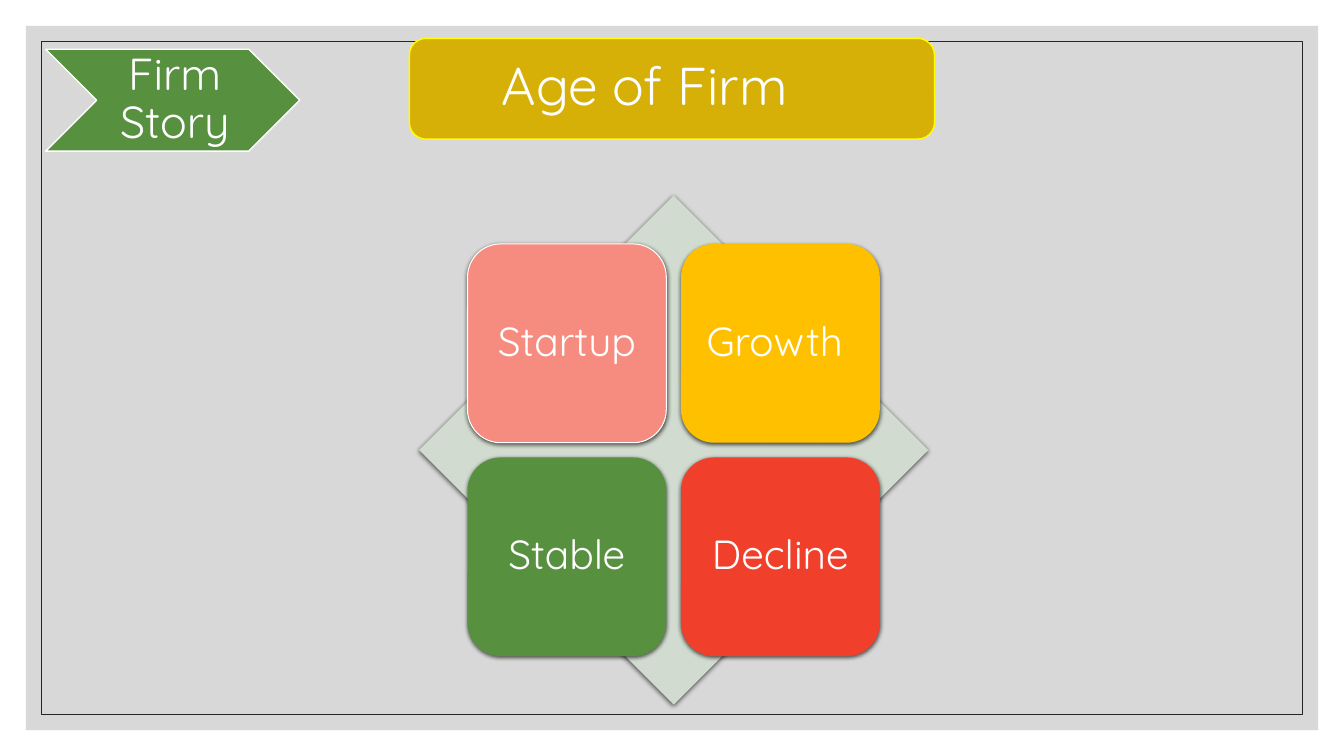
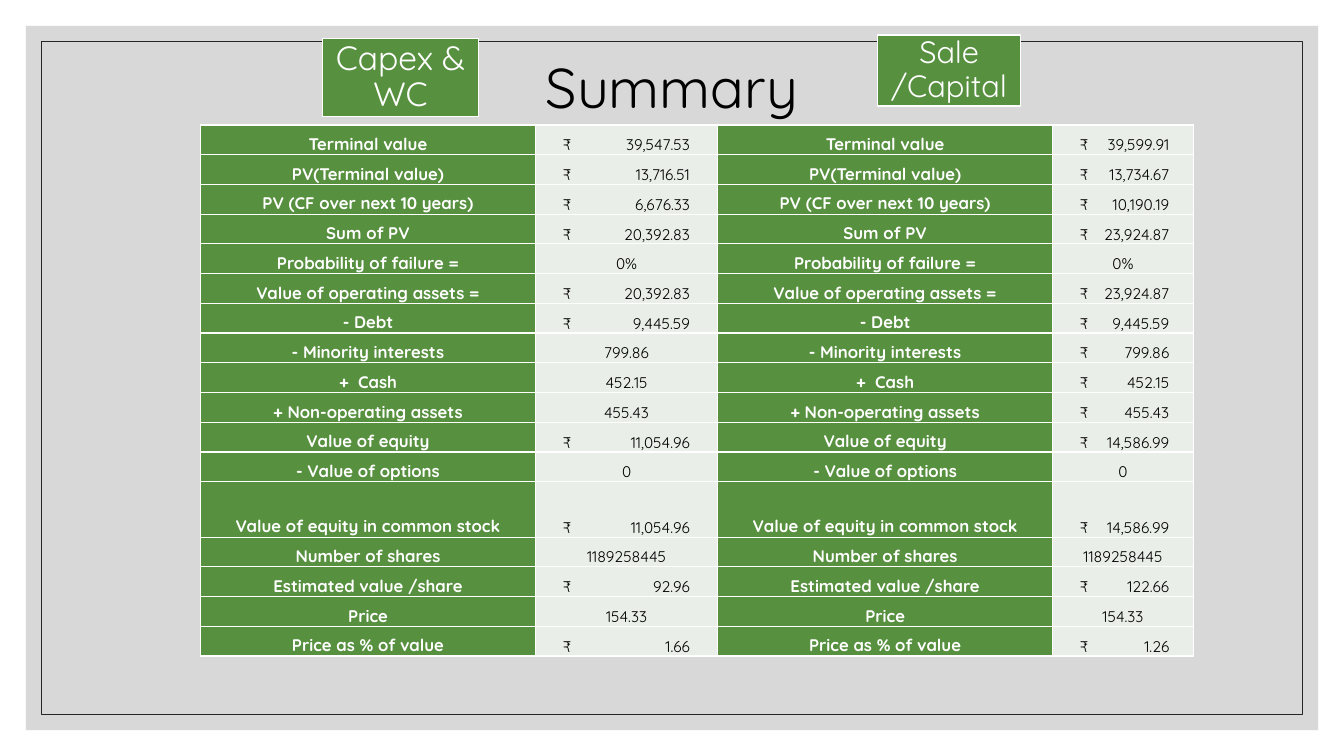
from dataclasses import dataclass

from lxml import etree
from pptx import Presentation
from pptx.dml.color import RGBColor
from pptx.enum.shapes import MSO_SHAPE
from pptx.enum.text import MSO_ANCHOR, MSO_AUTO_SIZE, PP_ALIGN
from pptx.oxml.ns import qn
from pptx.util import Pt

RECTANGLE = MSO_SHAPE.RECTANGLE
ROUNDED = MSO_SHAPE.ROUNDED_RECTANGLE
CHEVRON = MSO_SHAPE.CHEVRON
DIAMOND = MSO_SHAPE.DIAMOND
LEFT, CENTER = PP_ALIGN.LEFT, PP_ALIGN.CENTER
TOP, MIDDLE, BOTTOM = MSO_ANCHOR.TOP, MSO_ANCHOR.MIDDLE, MSO_ANCHOR.BOTTOM
TITLE_ONLY = 5


@dataclass(frozen=True)
class Theme:
    font: str = "Quicksand"
    white: str = "FFFFFF"
    black: str = "000000"
    backdrop: str = "BFBFBF"
    frame: str = "262626"
    green: str = "57903F"
    pale_green: str = "D1DBCF"
    value_fill: str = "EAEEE8"
    banner: str = "D6AF07"
    banner_edge: str = "FFFF00"
    pink: str = "F68C80"
    amber: str = "FFC000"
    red: str = "F03F2B"
    summary_size: float = 40
    banner_size: float = 38
    story_size: float = 32
    tile_size: float = 29
    capex_size: float = 24
    sale_size: float = 22
    label_size: float = 12
    value_size: float = 11


THEME = Theme()


@dataclass(frozen=True)
class Area:
    left: float
    top: float
    width: float
    height: float

    def lengths(self) -> tuple:
        return Pt(self.left), Pt(self.top), Pt(self.width), Pt(self.height)


@dataclass(frozen=True)
class Panel:
    kind: int
    area: Area
    fill: str | None = None
    line: str | None = None
    line_width: float = 1
    shadow: bool = False
    text: str = ""
    size: float = 0
    margins: tuple = (1.5, 1.5, 1.5, 1.5)


@dataclass(frozen=True)
class Valuation:
    label: str
    capex: str
    sale: str
    height: float = 21.24


PAGE_WIDTH, PAGE_HEIGHT = 960, 540
BACKDROP_INSET, FRAME_INSET = 18.5, 29.5

STORY = Panel(CHEVRON, Area(32.6, 35.2, 181.5, 72.8), THEME.green, THEME.white,
              text="Firm Story", size=THEME.story_size, margins=(3, 1.5, 0, 1.5))
BANNER = Panel(ROUNDED, Area(292.4, 27.4, 375.2, 72), THEME.banner, THEME.banner_edge)

TILE_SIZE, TILE_GAP = 142, 10.5
MATRIX = Area(299.4, 139.7, 363.6, 363.6)
TILES = (
    ("Startup", THEME.pink, THEME.white),
    ("Growth ", THEME.amber, None),
    ("Stable", THEME.green, None),
    ("Decline", THEME.red, None),
)

METHODS = (
    Panel(RECTANGLE, Area(230.4, 27.6, 111.4, 55.5), THEME.green, THEME.white,
          text="Capex & WC", size=THEME.capex_size),
    Panel(RECTANGLE, Area(627, 25, 101.8, 50.8), THEME.green, THEME.white,
          text="Sale /Capital", size=THEME.sale_size),
)

TABLE_LEFT, TABLE_TOP = 143.4, 89.3
COLUMN_WIDTHS = (239, 130.4, 239, 100.8)
CURRENCY = "₹"
CURRENCY_INDENT = 19.5
AMOUNT_TABS = {1: 91, 3: 64}  # right edge of the amounts, by column
VALUATIONS = (
    Valuation("Terminal value", "₹39,547.53", "₹39,599.91"),
    Valuation("PV(Terminal value)", "₹13,716.51", "₹13,734.67"),
    Valuation("PV (CF over next 10 years)", "₹6,676.33", "₹10,190.19"),
    Valuation("Sum of PV", "₹20,392.83", "₹23,924.87"),
    Valuation("Probability of failure =", "0%", "0%"),
    Valuation("Value of operating assets =", "₹20,392.83", "₹23,924.87"),
    Valuation("- Debt", "₹9,445.59", "₹9,445.59"),
    Valuation("- Minority interests", "799.86", "₹799.86"),
    Valuation("+  Cash", "452.15", "₹452.15"),
    Valuation("+ Non-operating assets", "455.43", "₹455.43"),
    Valuation("Value of equity", "₹11,054.96", "₹14,586.99"),
    Valuation("- Value of options", "0", "0"),
    Valuation("Value of equity in common stock", "₹11,054.96", "₹14,586.99", 39.6),
    Valuation("Number of shares", "1189258445", "1189258445"),
    Valuation("Estimated value /share", "₹92.96", "₹122.66"),
    Valuation("Price", "154.33", "154.33"),
    Valuation("Price as % of value", "₹1.66", "₹1.26"),
)


def color(code: str) -> RGBColor:
    return RGBColor.from_string(code)


def add_node(parent, tag: str, **attributes):
    return etree.SubElement(parent, qn(tag), {key: str(value) for key, value in attributes.items()})


def format_paragraph(para, size: float, code: str, align=CENTER, bold: bool = False) -> None:
    para.alignment = align
    for span in para.runs:
        span.font.name = THEME.font
        span.font.size = Pt(size)
        span.font.bold = bold
        span.font.color.rgb = color(code)


def set_margins(target, margins: tuple) -> None:
    """Set left, top, right and bottom margins of a text frame or a cell."""
    (target.margin_left, target.margin_top,
     target.margin_right, target.margin_bottom) = map(Pt, margins)


def add_soft_shadow(shape) -> None:
    effects = shape._element.spPr.find(qn("a:effectLst"))
    outer = add_node(effects, "a:outerShdw", blurRad=Pt(3), dist=Pt(1),
                     dir=5400000, algn="ctr", rotWithShape=0)
    add_node(add_node(outer, "a:srgbClr", val=THEME.black), "a:alpha", val=63000)


def draw_panel(page, panel: Panel):
    shape = page.shapes.add_shape(panel.kind, *panel.area.lengths())
    shape.shadow.inherit = False
    if panel.shadow:
        add_soft_shadow(shape)
    if panel.fill:
        shape.fill.solid()
        shape.fill.fore_color.rgb = color(panel.fill)
    else:
        shape.fill.background()
    if panel.line:
        shape.line.color.rgb = color(panel.line)
        shape.line.width = Pt(panel.line_width)
    else:
        shape.line.fill.background()
    if panel.text:
        frame = shape.text_frame
        frame.text = panel.text
        frame.word_wrap = True
        frame.vertical_anchor = MIDDLE
        set_margins(frame, panel.margins)
        para = frame.paragraphs[0]
        para.line_spacing = 0.9
        format_paragraph(para, panel.size, THEME.white)
    return shape


def place_title(page, text: str, area: Area, size: float, code: str, anchor, align,
                margins: tuple, wrap: bool = True, spacing: float = 1.0) -> None:
    """Fill the title placeholder and bring it in front of what is drawn so far."""
    title = page.shapes.title
    title.left, title.top, title.width, title.height = area.lengths()
    frame = title.text_frame
    frame.text = text
    frame.auto_size = MSO_AUTO_SIZE.NONE
    frame.word_wrap = wrap
    frame.vertical_anchor = anchor
    set_margins(frame, margins)
    frame.paragraphs[0].line_spacing = spacing
    format_paragraph(frame.paragraphs[0], size, code, align)
    page.shapes.element.append(title._element)


def inset_area(inset: float) -> Area:
    return Area(inset, inset, PAGE_WIDTH - 2 * inset, PAGE_HEIGHT - 2 * inset)


def frame_layout(layout, page) -> None:
    """Draw the backdrop and frame on a page, then hand them to its layout."""
    backdrop = draw_panel(page, Panel(RECTANGLE, inset_area(BACKDROP_INSET), THEME.backdrop))
    fill = backdrop._element.spPr.find(qn("a:solidFill"))
    add_node(fill[0], "a:alpha", val=60000)
    frame = draw_panel(page, Panel(RECTANGLE, inset_area(FRAME_INSET),
                                   line=THEME.frame, line_width=0.5))
    for position, shape in enumerate((backdrop, frame), start=2):
        layout.shapes.element.insert(position, shape._element)


def draw_matrix(page) -> None:
    draw_panel(page, Panel(DIAMOND, MATRIX, THEME.pale_green, shadow=True))
    inset = (MATRIX.width - 2 * TILE_SIZE - TILE_GAP) / 2
    pitch = TILE_SIZE + TILE_GAP
    for index, (text, fill, line) in enumerate(TILES):
        row, column = divmod(index, 2)
        area = Area(MATRIX.left + inset + column * pitch,
                    MATRIX.top + inset + row * pitch, TILE_SIZE, TILE_SIZE)
        draw_panel(page, Panel(ROUNDED, area, fill, line, 0.75, True, text,
                               THEME.tile_size, (8.6, 8.6, 8.6, 8.6)))


def draw_age_page(page) -> None:
    draw_panel(page, STORY)
    draw_panel(page, BANNER)
    place_title(page, "Age of Firm", BANNER.area, THEME.banner_size, THEME.white,
                MIDDLE, LEFT, (66, 15, 15, 15), spacing=0.9)
    draw_matrix(page)


def add_borders(cell) -> None:
    properties = cell._tc.get_or_add_tcPr()
    for position, side in enumerate(("a:lnL", "a:lnR", "a:lnT", "a:lnB")):
        line = add_node(properties, side, w=Pt(1))
        add_node(add_node(line, "a:solidFill"), "a:srgbClr", val=THEME.white)
        properties.insert(position, line)


def fill_cell(cell, text: str, column: int) -> None:
    is_label = column % 2 == 0
    is_money = text.startswith(CURRENCY)
    cell.fill.solid()
    cell.fill.fore_color.rgb = color(THEME.green if is_label else THEME.value_fill)
    cell.vertical_anchor = BOTTOM
    set_margins(cell, (CURRENCY_INDENT if is_money else 0, 0, 0, 0))
    add_borders(cell)
    para = cell.text_frame.paragraphs[0]
    para.text = text.replace(CURRENCY, CURRENCY + "\t")
    if is_label:
        format_paragraph(para, THEME.label_size, THEME.white, bold=True)
    else:
        format_paragraph(para, THEME.value_size, THEME.black, LEFT if is_money else CENTER)
    if is_money:
        tabs = add_node(para._p.get_or_add_pPr(), "a:tabLst")
        add_node(tabs, "a:tab", pos=Pt(AMOUNT_TABS[column]), algn="r")


def draw_valuation_table(page) -> None:
    area = Area(TABLE_LEFT, TABLE_TOP, sum(COLUMN_WIDTHS),
                sum(entry.height for entry in VALUATIONS))
    table = page.shapes.add_table(len(VALUATIONS), len(COLUMN_WIDTHS), *area.lengths()).table
    table.first_row = table.horz_banding = False
    for column, width in zip(table.columns, COLUMN_WIDTHS):
        column.width = Pt(width)
    for row, entry in zip(table.rows, VALUATIONS):
        row.height = Pt(entry.height)
        texts = (entry.label, entry.capex, entry.label, entry.sale)
        for column, (cell, text) in enumerate(zip(row.cells, texts)):
            fill_cell(cell, text, column)


def draw_summary_page(page) -> None:
    place_title(page, "Summary", Area(381.6, 33.8, 196.6, 55.5), THEME.summary_size,
                THEME.black, TOP, CENTER, (7.2, 3.6, 7.2, 3.6), wrap=False)
    draw_valuation_table(page)
    for method in METHODS:
        draw_panel(page, method)


def main() -> None:
    deck = Presentation()
    deck.slide_width, deck.slide_height = Pt(PAGE_WIDTH), Pt(PAGE_HEIGHT)
    layout = deck.slide_layouts[TITLE_ONLY]
    age_page, summary_page = (deck.slides.add_slide(layout) for _ in range(2))
    frame_layout(layout, age_page)
    draw_age_page(age_page)
    draw_summary_page(summary_page)
    deck.save("out.pptx")


if __name__ == "__main__":
    main()
